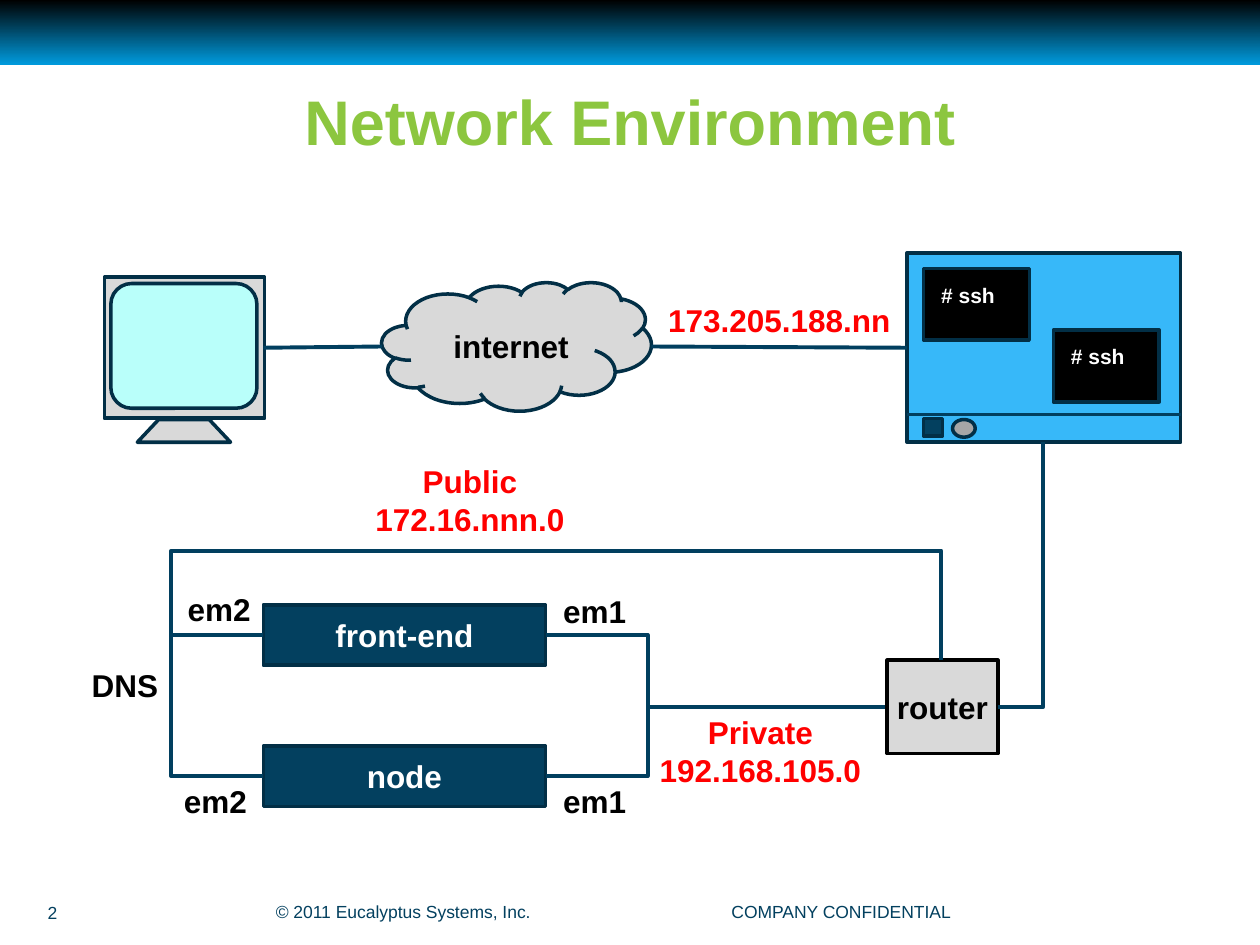
from dataclasses import dataclass

from lxml import etree
from pptx import Presentation
from pptx.dml.color import RGBColor
from pptx.enum.shapes import MSO_CONNECTOR, MSO_SHAPE
from pptx.enum.text import MSO_ANCHOR, PP_ALIGN
from pptx.oxml.ns import qn
from pptx.util import Inches, Pt

RECT, ROUND = MSO_SHAPE.RECTANGLE, MSO_SHAPE.ROUNDED_RECTANGLE
OVAL, CLOUD, TRAP = MSO_SHAPE.OVAL, MSO_SHAPE.CLOUD, MSO_SHAPE.TRAPEZOID
STRAIGHT, ELBOW = MSO_CONNECTOR.STRAIGHT, MSO_CONNECTOR.ELBOW
LEFT, CENTER = PP_ALIGN.LEFT, PP_ALIGN.CENTER
TOP, MIDDLE = MSO_ANCHOR.TOP, MSO_ANCHOR.MIDDLE


@dataclass(frozen=True)
class Theme:
    font: str = "Arial"
    navy: str = "03405F"
    edge: str = "022F46"
    wire: str = "013F5F"
    azure: str = "0099DB"
    screen: str = "37B8F9"
    glass: str = "B9FFFA"
    gray: str = "D9D9D9"
    knob: str = "A6A6A6"
    green: str = "8CC63F"
    red: str = "FF0000"
    black: str = "000000"
    white: str = "FFFFFF"
    title: float = 36
    label: float = 18
    shell: float = 12
    small: float = 10
    thin: float = 1.5
    line: float = 2
    bold: float = 2.25


T = Theme()


def rgb(code):
    return RGBColor.from_string(code)


def write(shape, text, size, color, align=CENTER, anchor=TOP, bold=True,
          wrap=True, pad=(0.1, 0.05)):
    """Fill a shape's text frame, one paragraph for each line of text."""
    frame = shape.text_frame
    frame.word_wrap = wrap
    frame.vertical_anchor = anchor
    frame.margin_left = frame.margin_right = Inches(pad[0])
    frame.margin_top = frame.margin_bottom = Inches(pad[1])
    frame.text = text
    for para in frame.paragraphs:
        para.alignment = align
        font = para.font
        font.name, font.size, font.bold = T.font, Pt(size), bold
        font.color.rgb = rgb(color)


def label(slide, box, text, size=T.label, color=T.black, **style):
    area = slide.shapes.add_textbox(*map(Inches, box))
    write(area, text, size, color, **style)
    return area


def block(slide, kind, box, fill, line=T.edge, width=T.line):
    shape = slide.shapes.add_shape(kind, *map(Inches, box))
    shape.shadow.inherit = False
    shape.fill.solid()
    shape.fill.fore_color.rgb = rgb(fill)
    shape.line.color.rgb = rgb(line)
    shape.line.width = Pt(width)
    return shape


def wire(slide, start, end, bends=None, adjust=(), width=T.bold):
    """Join two points; bends counts the legs of an elbow wire less none,
    as in the presets bentConnector2 to 4, and adjust holds its ratios."""
    kind = ELBOW if bends else STRAIGHT
    line = slide.shapes.add_connector(kind, *map(Inches, start + end))
    line.line.color.rgb = rgb(T.wire)
    line.line.width = Pt(width)
    props = line._element.spPr
    if bends:
        geom = props.find(qn("a:prstGeom"))
        geom.set("prst", f"bentConnector{bends}")
        guides = geom.find(qn("a:avLst"))
        if guides is None:
            guides = etree.SubElement(geom, qn("a:avLst"))
        for num, ratio in enumerate(adjust, 1):
            etree.SubElement(guides, qn("a:gd"), name=f"adj{num}",
                             fmla=f"val {round(ratio * 100000)}")
    etree.SubElement(props, qn("a:effectLst"))


def frame(slide, box):
    """Top band, title and footer."""
    x, y, w, h = box
    band = block(slide, RECT, (x, y, w, 0.51), T.black)
    band.line.fill.background()
    band.fill.gradient()
    band.fill.gradient_angle = 270
    for stop, color in zip(band.fill.gradient_stops, (T.black, T.azure)):
        stop.color.rgb = rgb(color)
    title = label(slide, (x + 0.34, y + 0.66, w - 0.68, 1.2),
                  "Network Environment", T.title, T.green)
    title.text_frame.paragraphs[0].line_spacing = 0.93
    foot = y + h - 0.4
    for left, top, wide, high, text, align in (
            (0.28, foot - 0.03, 0.5, 0.34, "2", LEFT),
            (2.09, foot, 2.91, 0.27, "© 2011 Eucalyptus Systems, Inc.", LEFT),
            (5.22, foot, 2.91, 0.27, "COMPANY CONFIDENTIAL", CENTER)):
        label(slide, (x + left, top, wide, high), text, T.small, T.navy,
              align=align, anchor=MIDDLE, bold=False)


def monitor(slide, box):
    x, y, w, h = box
    block(slide, RECT, (x, y, w, 1.12), T.gray, width=T.bold)
    stand = block(slide, TRAP, (x + 0.26, y + h - 0.18, 0.74, 0.18), T.gray)
    stand.adjustments[0] = 0.94
    block(slide, ROUND, (x + 0.05, y + 0.05, w - 0.11, 0.99), T.glass)


def cloud(slide, box):
    x, y, w, h = box
    block(slide, CLOUD, box, T.gray)
    label(slide, (x + 0.47, y + 0.31, 1.2, 0.4), "internet", align=LEFT)


def desktop(slide, box):
    """Screen with two shell windows above a task bar."""
    x, y, w, h = box
    block(slide, RECT, box, T.screen, width=T.bold)
    bar = y + h - 0.22
    wire(slide, (x, bar), (x + w, bar), width=T.thin)
    block(slide, RECT, (x + 0.13, bar + 0.03, 0.15, 0.14), T.navy)
    block(slide, OVAL, (x + 0.36, bar + 0.04, 0.18, 0.14), T.knob)
    for left, top in ((1.16, 0.61), (0.13, 0.12)):
        shell = block(slide, RECT, (x + left, y + top, 0.84, 0.57), T.black)
        write(shell, "# ssh", T.shell, T.white, align=LEFT, pad=(0.14, 0.11))


def host(slide, box, name):
    shape = block(slide, RECT, box, T.navy)
    write(shape, name, T.label, T.white, anchor=MIDDLE)


def router(slide, box):
    shape = block(slide, RECT, box, T.gray, T.black)
    write(shape, "router", T.label, T.black, anchor=MIDDLE, wrap=False,
          pad=(0, 0))


def lan(slide, box):
    """Two hosts wired to the router on a private and a public side."""
    x, y, w, h = box
    left, right = x + 0.73, x + 2.97
    hub = x + w - 0.88
    front, node, mid = y + 0.67, y + 1.79, y + 1.24
    bus, rail = x + 3.78, x + w - 0.45

    for name, line in (("front-end", front), ("node", node)):
        host(slide, (left, line - 0.24, right - left, 0.48), name)
        wire(slide, (right, line), (hub, mid), 3,
             [(bus - right) / (hub - right)])
    router(slide, (hub, mid - 0.37, 0.88, 0.74))
    wire(slide, (left, node), (x, front), 2)
    end = mid - 0.37
    wire(slide, (left, front), (rail, end), 4,
         [(x - left) / (rail - left), (y - front) / (end - front)])

    for dx, dy, text in ((2.98, 0.28, "em1"), (2.98, 1.79, "em1"),
                         (-0.03, 1.79, "em2"), (0, 0.26, "em2")):
        label(slide, (x + dx, y + dy, 0.76, 0.4), text)
    label(slide, (x - 0.73, y + 0.87, 0.73, 0.4), "DNS", align=LEFT,
          wrap=False)
    label(slide, (x + 0.85, y - 0.75, 3.04, 0.71), "Public\n172.16.nnn.0",
          color=T.red)
    label(slide, (x + 3.57, mid, 2.21, 0.71), "Private\n192.168.105.0",
          color=T.red)


def main():
    deck = Presentation()
    deck.slide_width, deck.slide_height = Inches(10), Inches(7.5)
    slide = deck.slides.add_slide(deck.slide_layouts[6])
    frame(slide, (0, 0, 10, 7.5))
    desktop(slide, (7.2, 2.01, 2.17, 1.5))
    monitor(slide, (0.83, 2.2, 1.27, 1.31))
    cloud(slide, (3.03, 2.24, 2.14, 1.02))
    wire(slide, (2.09, 2.76), (3.03, 2.75))
    wire(slide, (5.17, 2.75), (7.2, 2.76))
    label(slide, (5.08, 2.34, 2.21, 0.4), "173.205.188.nn", color=T.red)
    lan(slide, (1.36, 4.37, 6.56, 2.19))
    wire(slide, (7.92, 5.61), (8.28, 3.51), 2)
    deck.save("out.pptx")


if __name__ == "__main__":
    main()
